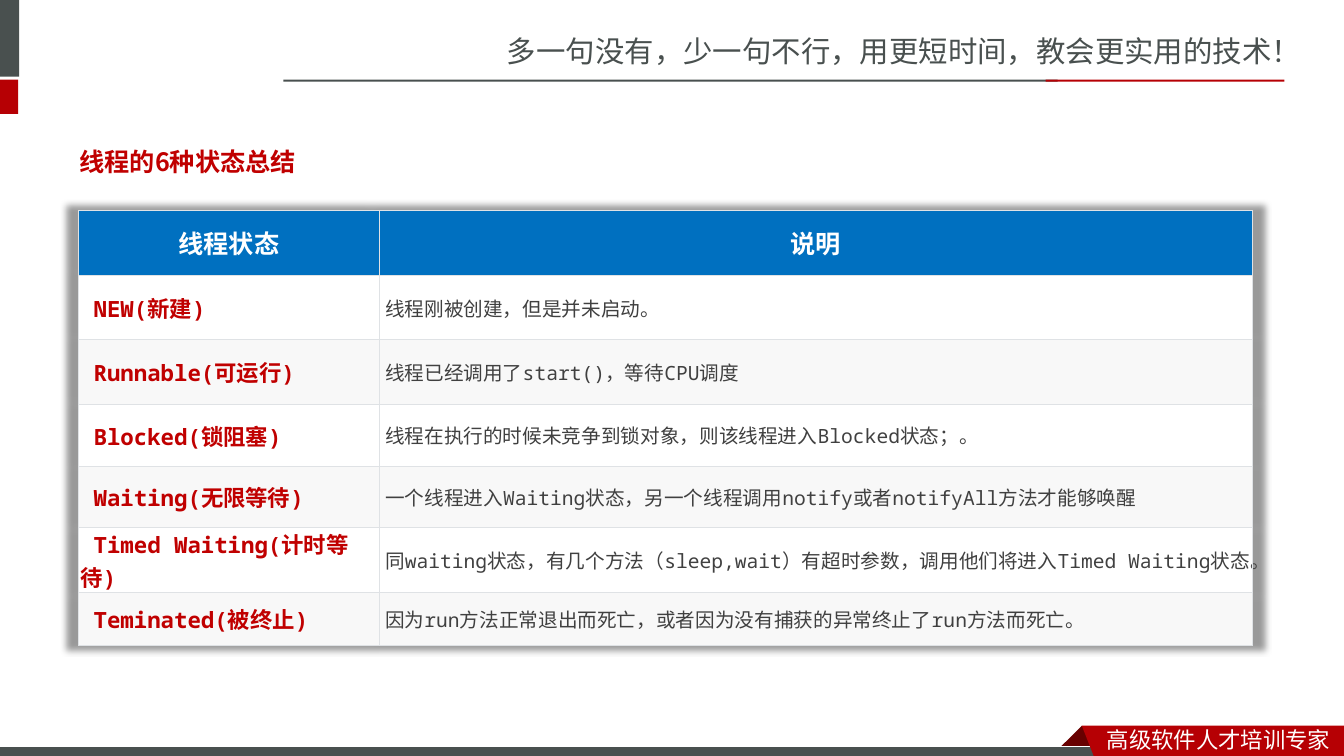
from lxml.etree import SubElement
from pptx import Presentation
from pptx.dml.color import RGBColor
from pptx.enum.shapes import MSO_SHAPE
from pptx.enum.text import MSO_ANCHOR, PP_ALIGN
from pptx.oxml import parse_xml
from pptx.oxml.ns import nsdecls, qn
from pptx.util import Pt

PX = 9144
COLORS = {
    "slate": "49504F", "red": "B60004", "dark red": "680000", "white": "FFFFFF",
    "accent": "C00000", "blue": "0070C0", "stripe": "F8F8F8", "body": "404040",
    "border": "DFE2E5",
}
CHINESE_FONT = "Noto Sans CJK SC"
TITLE_FONT = "Noto Sans CJK JP"
CODE_FONT = "Noto Sans Mono"

STATES = [
    ("NEW(新建)", "线程刚被创建，但是并未启动。"),
    ("Runnable(可运行)", "线程已经调用了start()，等待CPU调度"),
    ("Blocked(锁阻塞)", "线程在执行的时候未竞争到锁对象，则该线程进入Blocked状态；。"),
    ("Waiting(无限等待)", "一个线程进入Waiting状态，另一个线程调用notify或者notifyAll方法才能够唤醒"),
    ("Timed Waiting(计时等待)",
     "同waiting状态，有几个方法（sleep,wait）有超时参数，调用他们将进入Timed Waiting状态。"),
    ("Teminated(被终止)", "因为run方法正常退出而死亡，或者因为没有捕获的异常终止了run方法而死亡。"),
]


def rgb(color):
    return RGBColor.from_string(COLORS[color])


def set_all(target, values):
    for name, value in values.items():
        setattr(target, name, value)


class SlideBuilder:
    def __init__(self, slide):
        self.slide = slide
        self.shapes = slide.shapes

    def paint(self, shape, fill, line=None):
        shape.shadow.inherit = False
        shape.fill.solid()
        shape.fill.fore_color.rgb = rgb(fill)
        if line:
            shape.line.color.rgb = rgb(line)
            shape.line.width = Pt(0.75)
        else:
            shape.line.fill.background()

    def bar(self, box, fill, line=None):
        shape = self.shapes.add_shape(MSO_SHAPE.RECTANGLE, *(value * PX for value in box))
        self.paint(shape, fill, line)

    def polygon(self, points, fill):
        builder = self.shapes.build_freeform(*points[0], scale=PX)
        builder.add_line_segments(points[1:], close=True)
        self.paint(builder.convert_to_shape(), fill)

    def fill_paragraph(self, paragraph, text, size, color, font, bold=False,
                       alignment=PP_ALIGN.LEFT, indent=0):
        paragraph.alignment = alignment
        if indent:
            paragraph._p.get_or_add_pPr().set("indent", str(indent * PX))
        run = paragraph.add_run()
        run.text = text
        set_all(run.font, {"size": Pt(size), "bold": bold, "name": font})
        run.font.color.rgb = rgb(color)
        run_properties = run._r.get_or_add_rPr()
        run_properties.set("lang", "zh-CN")
        east_asian = CHINESE_FONT if font == CODE_FONT else font
        SubElement(run_properties, qn("a:ea")).set("typeface", east_asian)

    def text(self, box, text, size, color, font=CHINESE_FONT, bold=False,
             anchor=MSO_ANCHOR.TOP):
        frame = self.shapes.add_textbox(*(value * PX for value in box)).text_frame
        set_all(frame, {"word_wrap": True, "vertical_anchor": anchor})
        self.fill_paragraph(frame.paragraphs[0], text, size, color, font, bold)

    def cell(self, cell, fill, text, **style):
        set_all(cell, {
            "vertical_anchor": MSO_ANCHOR.MIDDLE,
            "margin_left": 2 * PX, "margin_right": 2 * PX,
            "margin_top": PX, "margin_bottom": PX,
        })
        self.fill_paragraph(cell.text_frame.paragraphs[0], text, font=CODE_FONT, **style)
        properties = cell._tc.get_or_add_tcPr()
        for side in ("lnL", "lnR", "lnT", "lnB"):
            properties.append(parse_xml(
                f'<a:{side} {nsdecls("a")} w="6350"><a:solidFill>'
                f'<a:srgbClr val="{COLORS["border"]}"/></a:solidFill></a:{side}>'))
        cell.fill.solid()
        cell.fill.fore_color.rgb = rgb(fill)

    def table(self, box, widths, heights, headings, rows):
        frame = self.shapes.add_table(
            len(heights), len(widths), *(value * PX for value in box))
        table = frame.table
        set_all(table, {"first_row": False, "horz_banding": False})
        table._tbl.tblPr.insert(0, parse_xml(
            f'<a:effectLst {nsdecls("a")}><a:outerShdw blurRad="63500" sx="102000" '
            'sy="102000" algn="ctr" rotWithShape="0"><a:prstClr val="black">'
            '<a:alpha val="40000"/></a:prstClr></a:outerShdw></a:effectLst>'))
        for column, width in zip(table.columns, widths):
            column.width = width * PX
        for row, height in zip(table.rows, heights):
            row.height = height * PX

        heading_style = {"size": 18, "color": "white", "bold": True,
                         "alignment": PP_ALIGN.CENTER}
        column_styles = [
            {"size": 16, "color": "accent", "bold": True, "indent": 13},
            {"size": 14, "color": "body", "indent": 4},
        ]
        for column, heading in enumerate(headings):
            self.cell(table.cell(0, column), "blue", heading, **heading_style)
        for number, row in enumerate(rows, start=1):
            fill = "white" if number % 2 else "stripe"
            for column, (text, style) in enumerate(zip(row, column_styles)):
                self.cell(table.cell(number, column), fill, text, **style)


def main():
    presentation = Presentation()
    set_all(presentation, {"slide_width": 1333 * PX, "slide_height": 750 * PX})
    builder = SlideBuilder(presentation.slides.add_slide(presentation.slide_layouts[6]))

    builder.text((493, 28, 841, 47), "多一句没有，少一句不行，用更短时间，教会更实用的技术！", 21, "slate")
    builder.bar((-6, 0, 25, 76), "slate")
    builder.bar((-6, 79, 24, 34), "red")
    builder.bar((281, 79, 768, 2), "slate")
    builder.bar((1037, 79, 237, 2), "red")

    builder.polygon([(1073, 720), (1095, 742), (1094, 743), (1052, 743), (1051, 742)], "dark red")
    builder.bar((-1, 741, 1100, 12), "slate", "white")
    builder.polygon([(1073, 720), (1333, 720), (1333, 754), (1086, 753)], "red")
    builder.text((1088, 715, 245, 37), "高级软件人才培训专家", 16, "white")

    builder.text((69, 132, 310, 57), "线程的6种状态总结", 18, "accent", TITLE_FONT, True,
                 MSO_ANCHOR.MIDDLE)
    builder.table((78, 209, 1164, 431), (298, 866), (64, 64, 64, 62, 60, 65, 52),
                  ("线程状态", "说明"), STATES)

    presentation.save("out.pptx")


if __name__ == "__main__":
    main()
